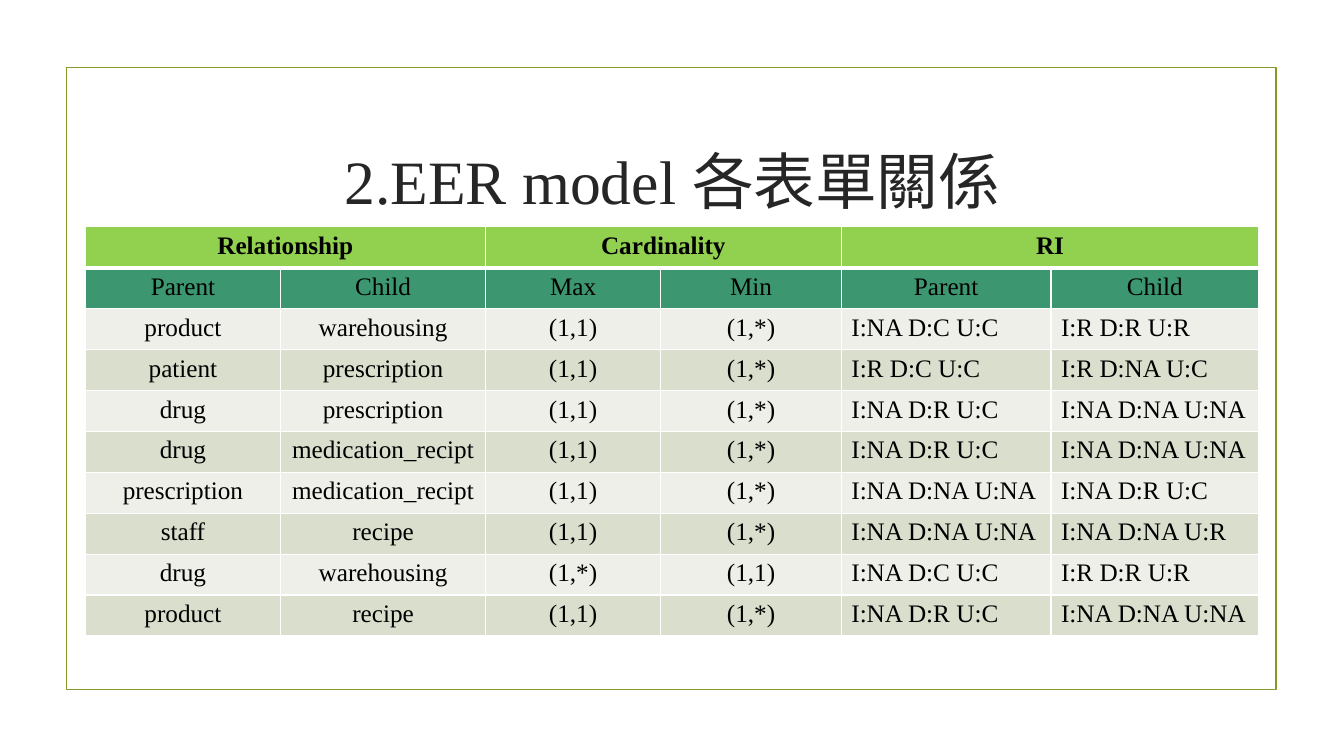
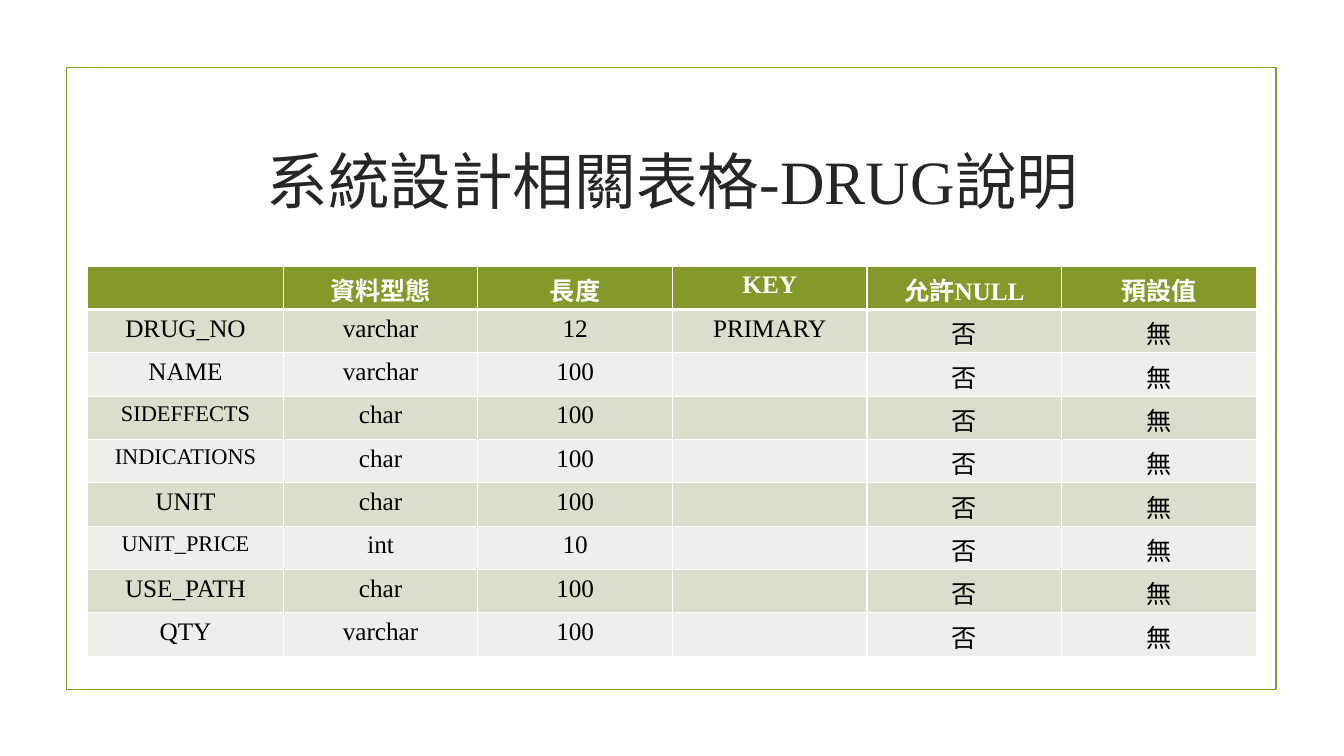
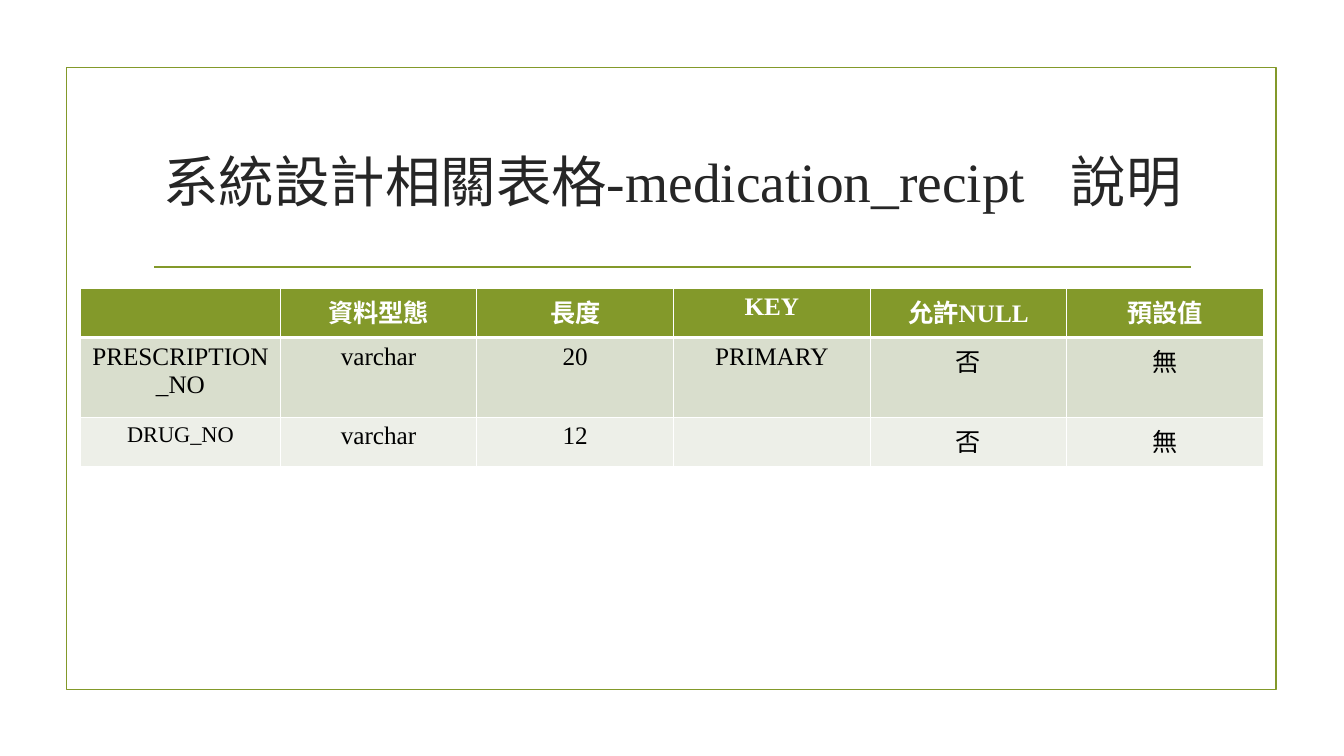
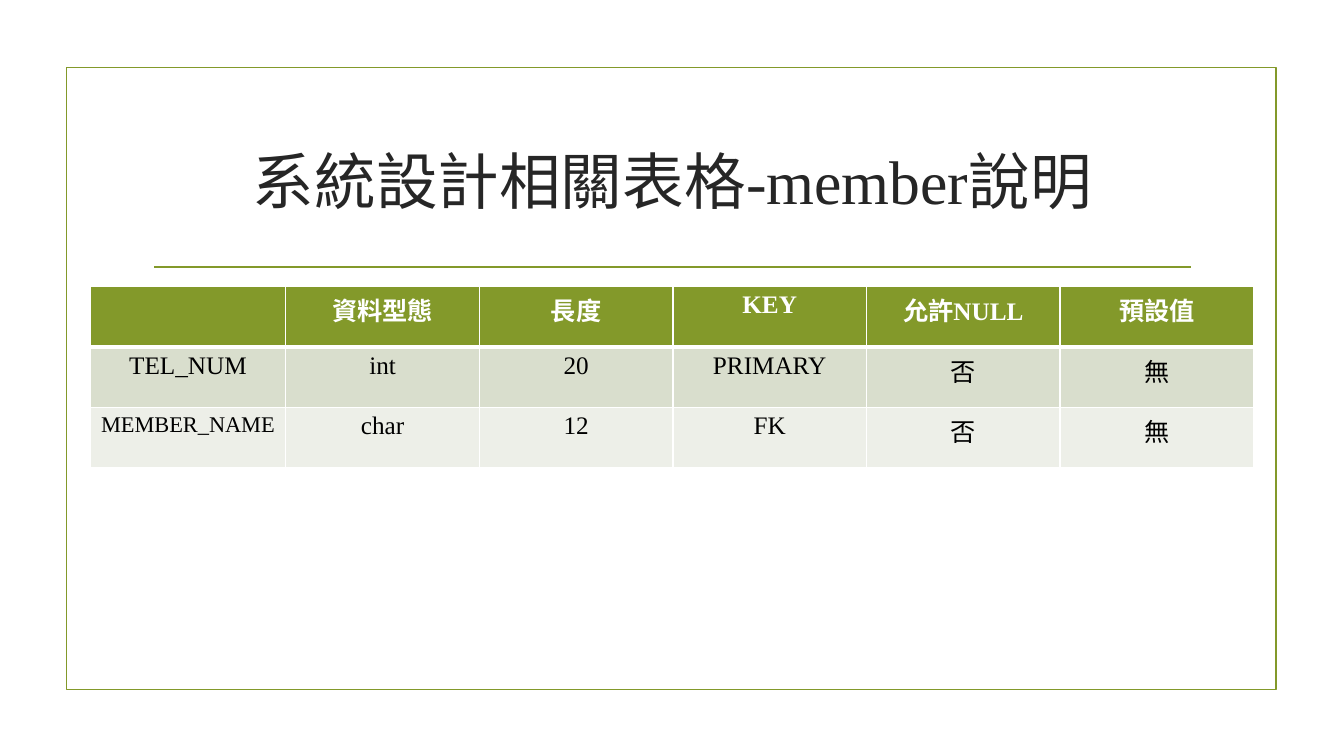
"""Four slides of database tables: entity relationships and column definitions."""
from pptx import Presentation
from pptx.dml.color import RGBColor
from pptx.enum.shapes import MSO_CONNECTOR, MSO_SHAPE
from pptx.enum.text import MSO_ANCHOR, PP_ALIGN
from pptx.oxml.ns import qn
from pptx.util import Inches, Pt
from lxml import etree

STRAIGHT = MSO_CONNECTOR.STRAIGHT
RECTANGLE = MSO_SHAPE.RECTANGLE
MIDDLE = MSO_ANCHOR.MIDDLE
LEFT, CENTER = PP_ALIGN.LEFT, PP_ALIGN.CENTER

FONT = "Times New Roman"
OLIVE, LIME, TEAL = "83992A", "92D050", "3C9770"
LIGHT, DARK = "EDEFE8", "D9DECD"
INK, BLACK, WHITE = "262626", "000000", "FFFFFF"
SLIDE_WIDTH, SLIDE_HEIGHT = 13.33, 7.5

RELATION_ROWS = [
    ("Relationship", "", "Cardinality", "", "RI", ""),
    ("Parent", "Child", "Max", "Min", "Parent", "Child"),
    ("product", "warehousing", "(1,1)", "(1,*)", "I:NA D:C U:C", "I:R D:R U:R"),
    ("patient", "prescription", "(1,1)", "(1,*)", "I:R D:C U:C", "I:R D:NA U:C"),
    ("drug", "prescription", "(1,1)", "(1,*)", "I:NA D:R U:C", "I:NA D:NA U:NA"),
    ("drug", "medication_recipt", "(1,1)", "(1,*)", "I:NA D:R U:C", "I:NA D:NA U:NA"),
    ("prescription", "medication_recipt", "(1,1)", "(1,*)", "I:NA D:NA U:NA", "I:NA D:R U:C"),
    ("staff", "recipe", "(1,1)", "(1,*)", "I:NA D:NA U:NA", "I:NA D:NA U:R"),
    ("drug", "warehousing", "(1,*)", "(1,1)", "I:NA D:C U:C", "I:R D:R U:R"),
    ("product", "recipe", "(1,1)", "(1,*)", "I:NA D:R U:C", "I:NA D:NA U:NA"),
]
RELATION_WIDTHS = [1.94, 2.03, 1.74, 1.79, 2.08, 2.06]

FIELD_HEADER = ("", "資料型態", "長度", "KEY", "允許NULL", "預設值")
FIELD_DEFAULTS = ("否", "無")
FIELD_SLIDES = [
    {
        "title": "系統設計相關表格-DRUG說明", "title_size": 44,
        "top": 2.64, "widths": [1.94] + [1.93] * 5, "heights": [0.43] * 9,
        "fields": [
            ("DRUG_NO", "varchar", "12", "PRIMARY"),
            ("NAME", "varchar", "100", ""),
            ("SIDEFFECTS", "char", "100", ""),
            ("INDICATIONS", "char", "100", ""),
            ("UNIT", "char", "100", ""),
            ("UNIT_PRICE", "int", "10", ""),
            ("USE_PATH", "char", "100", ""),
            ("QTY", "varchar", "100", ""),
        ],
        "small": {"SIDEFFECTS", "INDICATIONS", "UNIT_PRICE"},
    },
    {
        "title": "系統設計相關表格-medication_recipt\t說明", "title_size": 39.6,
        "top": 2.86, "widths": [1.98] + [1.95] * 5, "heights": [0.49, 0.79, 0.49],
        "fields": [
            ("PRESCRIPTION_NO", "varchar", "20", "PRIMARY"),
            ("DRUG_NO", "varchar", "12", ""),
        ],
        "small": {"DRUG_NO"},
    },
    {
        "title": "系統設計相關表格-member說明", "title_size": 44,
        "top": 2.84, "widths": [1.94] + [1.92] * 5, "heights": [0.6] * 3,
        "fields": [
            ("TEL_NUM", "int", "20", "PRIMARY"),
            ("MEMBER_NAME", "char", "12", "FK"),
        ],
        "small": {"MEMBER_NAME"},
    },
]


def color(value):
    return RGBColor.from_string(value)


def write(frame, text, size, ink, align=CENTER, bold=False):
    frame.text = text
    para = frame.paragraphs[0]
    para.alignment = align
    for span in para.runs:
        span.font.name = FONT
        span.font.size = Pt(size)
        span.font.bold = bold
        span.font.color.rgb = color(ink)


def add_page(deck, title, size):
    page = deck.slides.add_slide(deck.slide_layouts[6])
    border = page.shapes.add_shape(
        RECTANGLE, Inches(0.66), Inches(0.67), Inches(12), Inches(6.17))
    border.shadow.inherit = False
    border.fill.background()
    rule = page.shapes.add_connector(
        STRAIGHT, Inches(1.53), Inches(2.65), Inches(11.81), Inches(2.65))
    etree.SubElement(rule._element.spPr, qn("a:effectLst"))
    for outline in (border.line, rule.line):
        outline.color.rgb = color(OLIVE)
        outline.width = Pt(1.25)
    box = page.shapes.add_textbox(Inches(1.42), Inches(1.07), Inches(10.5), Inches(1.43))
    box.text_frame.word_wrap = True
    box.text_frame.vertical_anchor = MIDDLE
    write(box.text_frame, title, size, INK)
    return page


def add_borders(cell, is_header):
    widths = {"lnL": 1, "lnR": 1}
    if is_header:
        widths["lnT"] = 1
    widths["lnB"] = 3 if is_header else 1
    properties = cell._tc.get_or_add_tcPr()
    for side, width in widths.items():
        line = etree.SubElement(properties, qn("a:" + side), w=str(Pt(width)))
        fill = etree.SubElement(line, qn("a:solidFill"))
        etree.SubElement(fill, qn("a:srgbClr"), val=WHITE)


def add_grid(page, rows, top, widths, heights, fills, header_ink,
             small=frozenset(), left_columns=(), first_left_row=0):
    left = (SLIDE_WIDTH - sum(widths)) / 2
    table = page.shapes.add_table(
        len(rows), len(widths), Inches(left), Inches(top),
        Inches(sum(widths)), Inches(sum(heights))).table
    for column, width in zip(table.columns, widths):
        column.width = Inches(width)
    for row, height in zip(table.rows, heights):
        row.height = Inches(height)
    for r, (texts, fill) in enumerate(zip(rows, fills)):
        for c, text in enumerate(texts):
            cell = table.cell(r, c)
            is_header = r == 0
            is_left = c in left_columns and r >= first_left_row
            add_borders(cell, is_header)
            cell.fill.solid()
            cell.fill.fore_color.rgb = color(fill)
            write(cell.text_frame, text, 16 if text in small else 18,
                  header_ink if is_header else BLACK,
                  LEFT if is_left else CENTER, is_header)
    return table


def main():
    deck = Presentation()
    deck.slide_width = Inches(SLIDE_WIDTH)
    deck.slide_height = Inches(SLIDE_HEIGHT)

    page = add_page(deck, "2.EER model 各表單關係", 44)
    table = add_grid(page, RELATION_ROWS, 2.25, RELATION_WIDTHS,
                     [0.406] * len(RELATION_ROWS), [LIME, TEAL] + [LIGHT, DARK] * 4,
                     BLACK, left_columns=(4, 5), first_left_row=2)
    for start in range(0, len(RELATION_WIDTHS), 2):
        table.cell(0, start).merge(table.cell(0, start + 1))

    for item in FIELD_SLIDES:
        page = add_page(deck, item["title"], item["title_size"])
        rows = [FIELD_HEADER] + [field + FIELD_DEFAULTS for field in item["fields"]]
        fills = [OLIVE] + [DARK, LIGHT] * (len(item["fields"]) // 2)
        add_grid(page, rows, item["top"], item["widths"], item["heights"],
                 fills, WHITE, small=item["small"])

    deck.save("out.pptx")


if __name__ == "__main__":
    main()
